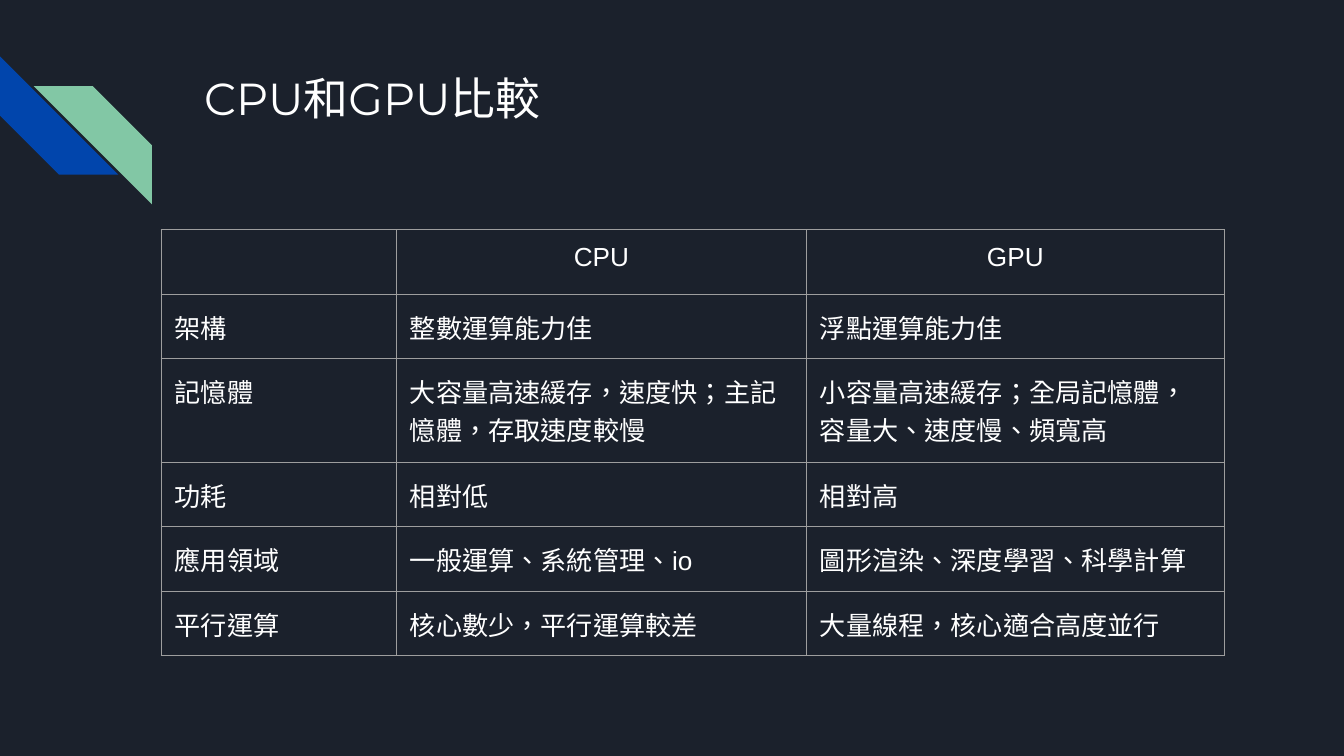
import dataclasses

import lxml.etree
import pptx
import pptx.dml.color
import pptx.enum.shapes
import pptx.enum.text
import pptx.oxml
import pptx.oxml.ns
import pptx.util

Inches = pptx.util.Inches
Pt = pptx.util.Pt
Align = pptx.enum.text.PP_ALIGN

COLORS = {
    "back": "1B212C",
    "blue": "0145AC",
    "green": "82C7A5",
    "text": "FFFFFF",
    "grid": "9E9E9E",
}
INSET = {f"margin_{side}": Inches(0.1) for side in ("left", "right", "top", "bottom")}


@dataclasses.dataclass
class Stripe:
    left: float
    top: float
    turn: int
    color: str


STRIPES = [Stripe(0, 0.42, 270, "blue"), Stripe(0.25, 0.64, 90, "green")]
COLS = [1.75, 3.05, 3.11]
ROWS = [
    ("", "CPU", "GPU"),
    ("架構", "整數運算能力佳", "浮點運算能力佳"),
    ("記憶體", "大容量高速緩存，速度快；主記憶體，存取速度較慢",
     "小容量高速緩存；全局記憶體，容量大、速度慢、頻寬高"),
    ("功耗", "相對低", "相對高"),
    ("應用領域", "一般運算、系統管理、io", "圖形渲染、深度學習、科學計算"),
    ("平行運算", "核心數少，平行運算較差", "大量線程，核心適合高度並行"),
]
ROW_H, TALL_H = 0.48, 0.77
TALL_ROW = 2


def rgb(name: str) -> pptx.dml.color.RGBColor:
    return pptx.dml.color.RGBColor.from_string(COLORS[name])


def apply(target, values: dict) -> None:
    for name, value in values.items():
        setattr(target, name, value)


def write(frame, text: str, font: str, size: float, align=Align.LEFT) -> None:
    """Write one line of text; an empty one only gets its size."""
    para = frame.paragraphs[0]
    para.alignment = align
    if not text:
        end = lxml.etree.SubElement(para._p, pptx.oxml.ns.qn("a:endParaRPr"))
        end.set("sz", str(size * 100))
        return
    run = para.add_run()
    run.text = text
    run._r.get_or_add_rPr().set("lang", "zh-TW")
    apply(run.font, {"name": font, "size": Pt(size)})
    run.font.color.rgb = rgb("text")


def draw_stripe(slide, stripe: Stripe) -> None:
    shape = slide.shapes.add_shape(
        pptx.enum.shapes.MSO_SHAPE.DIAGONAL_STRIPE,
        Inches(stripe.left), Inches(stripe.top), Inches(0.88), Inches(0.88))
    shape.rotation = stripe.turn
    shape.shadow.inherit = False
    shape.fill.solid()
    shape.fill.fore_color.rgb = rgb(stripe.color)
    shape.line.fill.background()


def draw_title(slide, text: str) -> None:
    box = slide.shapes.add_textbox(Inches(1.42), Inches(0.43), Inches(7.7), Inches(1))
    apply(box.text_frame, INSET | {"word_wrap": True})
    write(box.text_frame, text, "Montserrat", 24)


def add_edges(cell) -> None:
    """Give the cell a thin line on all four sides."""
    props = cell._tc.get_or_add_tcPr()
    for side in ("lnL", "lnR", "lnT", "lnB"):
        props.append(pptx.oxml.parse_xml(
            f'<a:{side} {pptx.oxml.ns.nsdecls("a")} w="{Pt(0.75)}"><a:solidFill>'
            f'<a:srgbClr val="{COLORS["grid"]}"/></a:solidFill></a:{side}>'))


def draw_table(slide) -> None:
    heights = [TALL_H if i == TALL_ROW else ROW_H for i in range(len(ROWS))]
    table = slide.shapes.add_table(
        len(ROWS), len(COLS), Inches(1.2), Inches(1.71),
        Inches(sum(COLS)), Inches(sum(heights))).table
    apply(table, {"first_row": False, "horz_banding": False})
    for col, width in zip(table.columns, COLS):
        col.width = Inches(width)
    for i, (row, height, texts) in enumerate(zip(table.rows, heights, ROWS)):
        row.height = Inches(height)
        for cell, text in zip(row.cells, texts):
            apply(cell, INSET)
            add_edges(cell)
            cell.fill.background()
            write(cell.text_frame, text, "Arial", 14, Align.LEFT if i else Align.CENTER)


def main() -> None:
    deck = pptx.Presentation()
    width = Inches(10)
    apply(deck, {"slide_width": width, "slide_height": width * 9 // 16})
    slide = deck.slides.add_slide(deck.slide_layouts[6])
    slide.background.fill.solid()
    slide.background.fill.fore_color.rgb = rgb("back")
    for stripe in STRIPES:
        draw_stripe(slide, stripe)
    draw_title(slide, "CPU和GPU比較")
    draw_table(slide)
    deck.save("out.pptx")


if __name__ == "__main__":
    main()
